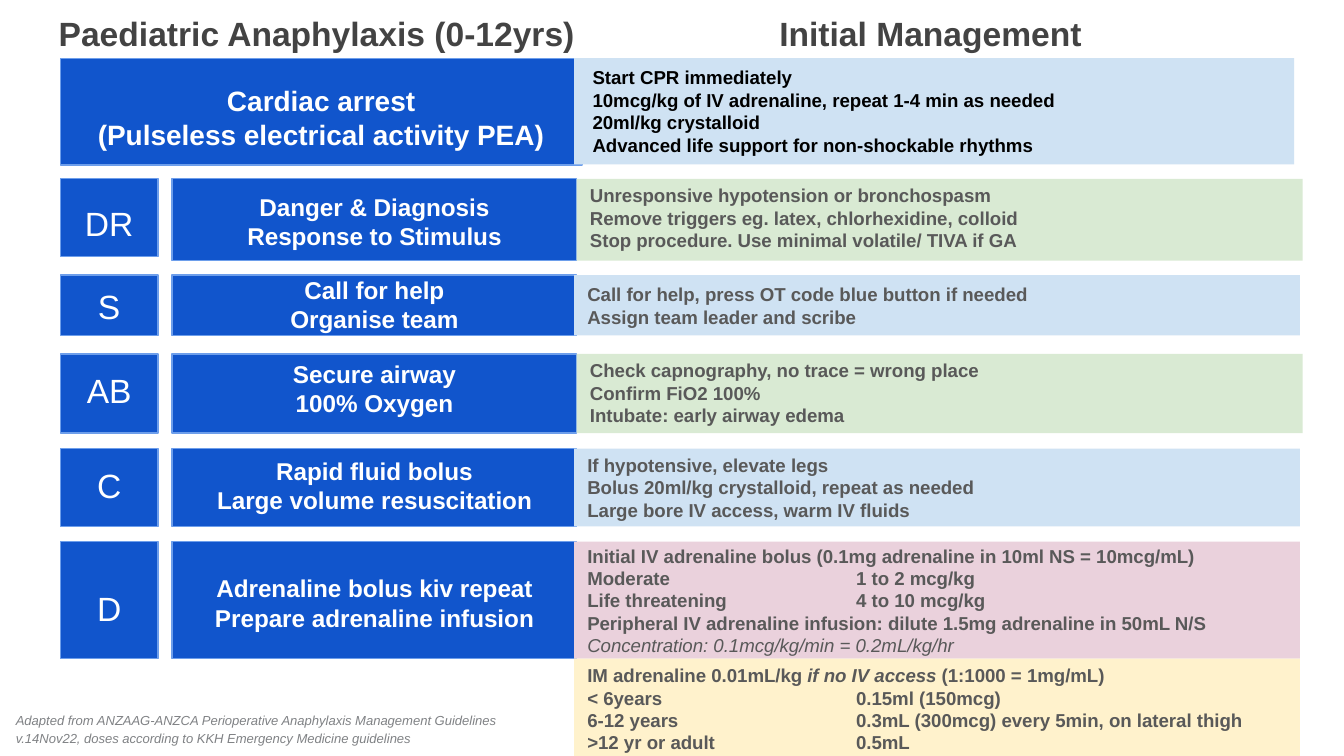
from dataclasses import dataclass
from typing import Any, Optional

import lxml.etree
import pptx
import pptx.dml.color
import pptx.enum.shapes
import pptx.enum.text
import pptx.oxml.ns
import pptx.util

Cm = pptx.util.Cm
Pt = pptx.util.Pt
ALIGN = pptx.enum.text.PP_ALIGN
ANCHOR = pptx.enum.text.MSO_ANCHOR


@dataclass(frozen=True)
class Theme:
    font: str = "Arial"
    blue: str = "1155CC"
    edge: str = "6D9EEB"
    sky: str = "CFE2F3"
    green: str = "D9EAD3"
    pink: str = "EAD1DC"
    cream: str = "FFF2CC"
    white: str = "FFFFFF"
    black: str = "000000"
    body: str = "595959"
    heading: str = "434343"
    credit: str = "808285"
    heading_size: float = 18
    arrest_size: float = 15
    topic_size: float = 13
    body_size: float = 10
    credit_size: float = 7


@dataclass(frozen=True)
class Box:
    left: float
    top: float
    width: float
    height: float


@dataclass(frozen=True)
class Run:
    text: str
    bold: bool = True
    italic: bool = False


Line = list[Run]


@dataclass(frozen=True)
class Style:
    size: float
    color: str
    align: Any = ALIGN.LEFT
    middle: bool = False
    inset_top: float = 0.1
    inset_bottom: float = 0.05
    inset_left: float = 0.25
    tab: Optional[float] = None
    spacing: Optional[float] = None


@dataclass(frozen=True)
class Step:
    top: float
    height: float
    letter: str
    letter_inset: float
    topic: str
    topic_inset: float
    detail: list[Line]
    detail_inset: float
    fill: str
    detail_left: float = 10.85
    letter_height: Optional[float] = None
    middle: bool = False


def plain(text: str, bold: bool = True, italic: bool = False) -> list[Line]:
    return [[Run(line, bold, italic)] for line in text.split("\n")]


def rgb(value: str) -> pptx.dml.color.RGBColor:
    return pptx.dml.color.RGBColor.from_string(value)


def write(tf: Any, lines: list[Line], style: Style) -> None:
    tf.word_wrap = True
    tf.vertical_anchor = ANCHOR.MIDDLE if style.middle else ANCHOR.TOP
    tf.margin_left, tf.margin_right = Cm(style.inset_left), Cm(0.25)
    tf.margin_top, tf.margin_bottom = Cm(style.inset_top), Cm(style.inset_bottom)
    for i, line in enumerate(lines):
        p = tf.paragraphs[0] if i == 0 else tf.add_paragraph()
        p.alignment = style.align
        if style.spacing:
            p.line_spacing = style.spacing
        if style.tab and any("\t" in run.text for run in line):
            qn = pptx.oxml.ns.qn
            tabs = lxml.etree.SubElement(p._p.get_or_add_pPr(), qn("a:tabLst"))
            lxml.etree.SubElement(tabs, qn("a:tab"), pos=str(Cm(style.tab)), algn="l")
        for run in line:
            r = p.add_run()
            r.text = run.text
            r.font.name, r.font.size = THEME.font, Pt(style.size)
            r.font.bold, r.font.italic = run.bold, run.italic
            r.font.color.rgb = rgb(style.color)


def add_text(s: Any, box: Box, lines: list[Line], style: Style) -> None:
    sp = s.shapes.add_textbox(Cm(box.left), Cm(box.top), Cm(box.width), Cm(box.height))
    write(sp.text_frame, lines, style)


def add_panel(s: Any, box: Box, fill: str, lines: list[Line], style: Style,
              edge: Optional[str] = None) -> None:
    sp = s.shapes.add_shape(pptx.enum.shapes.MSO_SHAPE.RECTANGLE, Cm(box.left),
                            Cm(box.top), Cm(box.width), Cm(box.height))
    sp.shadow.inherit = False
    sp.fill.solid()
    sp.fill.fore_color.rgb = rgb(fill)
    if edge:
        sp.line.color.rgb = rgb(edge)
        sp.line.width = Pt(0.75)
    else:
        sp.line.fill.background()
    write(sp.text_frame, lines, style)


def add_step(s: Any, step: Step) -> None:
    add_panel(s, Box(1.14, step.top, 1.85, step.letter_height or step.height), THEME.blue,
              plain(step.letter, bold=False),
              Style(THEME.heading_size, THEME.white, ALIGN.CENTER, step.middle,
                    step.letter_inset), THEME.edge)
    add_panel(s, Box(3.25, step.top, 7.65, step.height), THEME.blue, plain(step.topic),
              Style(THEME.topic_size, THEME.white, ALIGN.CENTER, step.middle,
                    step.topic_inset), THEME.edge)
    add_panel(s, Box(step.detail_left, step.top, 13.72, step.height), step.fill, step.detail,
              Style(THEME.body_size, THEME.body, inset_top=step.detail_inset, tab=5.08))


THEME = Theme()

STEPS = [
    Step(3.38, 1.55, "DR", 0.46, "Danger & Diagnosis\nResponse to Stimulus", 0.25,
         plain("Unresponsive hypotension or bronchospasm\n"
               "Remove triggers eg. latex, chlorhexidine, colloid\n"
               "Stop procedure. Use minimal volatile/ TIVA if GA"),
         0.1, THEME.green, detail_left=10.9, letter_height=1.47),
    Step(5.2, 1.14, "S", 0.2, "Call for help\nOrganise team", 0,
         plain("Call for help, press OT code blue button if needed\n"
               "Assign team leader and scribe"), 0.15, THEME.sky),
    Step(6.69, 1.5, "AB", 0.3, "Secure airway\n100% Oxygen", 0.1,
         plain("Check capnography, no trace = wrong place\n"
               "Confirm FiO2 100%\nIntubate: early airway edema"),
         0.1, THEME.green, detail_left=10.9),
    Step(8.48, 1.47, "C", 0.3, "Rapid fluid bolus\nLarge volume resuscitation", 0.15,
         plain("If hypotensive, elevate legs\n"
               "Bolus 20ml/kg crystalloid, repeat as needed\n"
               "Large bore IV access, warm IV fluids"), 0.1, THEME.sky),
    Step(10.24, 2.21, "D", 0.36, "Adrenaline bolus kiv repeat\nPrepare adrenaline infusion", 0.15,
         plain("Initial IV adrenaline bolus (0.1mg adrenaline in 10ml NS = 10mcg/mL)\n"
               "Moderate\t1 to 2 mcg/kg\nLife threatening\t4 to 10 mcg/kg\n"
               "Peripheral IV adrenaline infusion: dilute 1.5mg adrenaline in 50mL N/S")
         + plain("Concentration: 0.1mcg/kg/min = 0.2mL/kg/hr", bold=False, italic=True),
         0.05, THEME.pink, middle=True),
]


def main() -> None:
    prs = pptx.Presentation()
    prs.slide_width, prs.slide_height = Cm(25.4), Cm(14.29)
    s = prs.slides.add_slide(prs.slide_layouts[6])

    heading = Style(THEME.heading_size, THEME.heading, middle=True, inset_top=0.05)
    add_text(s, Box(0.86, 0, 11, 1.24), plain("Paediatric Anaphylaxis (0-12yrs)"), heading)
    add_text(s, Box(14.48, 0, 10, 1.24), plain("Initial Management"), heading)

    add_panel(s, Box(1.14, 1.11, 9.86, 2.01), THEME.blue,
              plain("Cardiac arrest\n(Pulseless electrical activity PEA)"),
              Style(THEME.arrest_size, THEME.white, ALIGN.CENTER, True, 0.46, 0.25), THEME.edge)
    add_panel(s, Box(10.85, 1.1, 13.61, 2.01), THEME.sky,
              plain("Start CPR immediately\n10mcg/kg of IV adrenaline, repeat 1-4 min as needed\n"
                    "20ml/kg crystalloid\nAdvanced life support for non-shockable rhythms"),
              Style(THEME.body_size, THEME.black, inset_top=0.15, inset_left=0.35))

    for step in STEPS:
        add_step(s, step)

    add_panel(s, Box(10.85, 12.45, 13.72, 1.84), THEME.cream,
              [[Run("IM adrenaline 0.01mL/kg "), Run("if no IV access ", italic=True),
                Run("(1:1000 = 1mg/mL)")]]
              + plain("< 6years\t0.15ml (150mcg)\n"
                      "6-12 years\t0.3mL (300mcg) every 5min, on lateral thigh\n"
                      ">12 yr or adult\t0.5mL"),
              Style(THEME.body_size, THEME.body, tab=5.08))
    add_text(s, Box(0.05, 13.18, 10.8, 1.11),
             plain("Adapted from ANZAAG-ANZCA Perioperative Anaphylaxis Management Guidelines "
                   "v.14Nov22, doses according to KKH Emergency Medicine guidelines",
                   bold=False, italic=True),
             Style(THEME.credit_size, THEME.credit, inset_top=0.25, spacing=1.15))
    prs.save("out.pptx")


if __name__ == "__main__":
    main()
